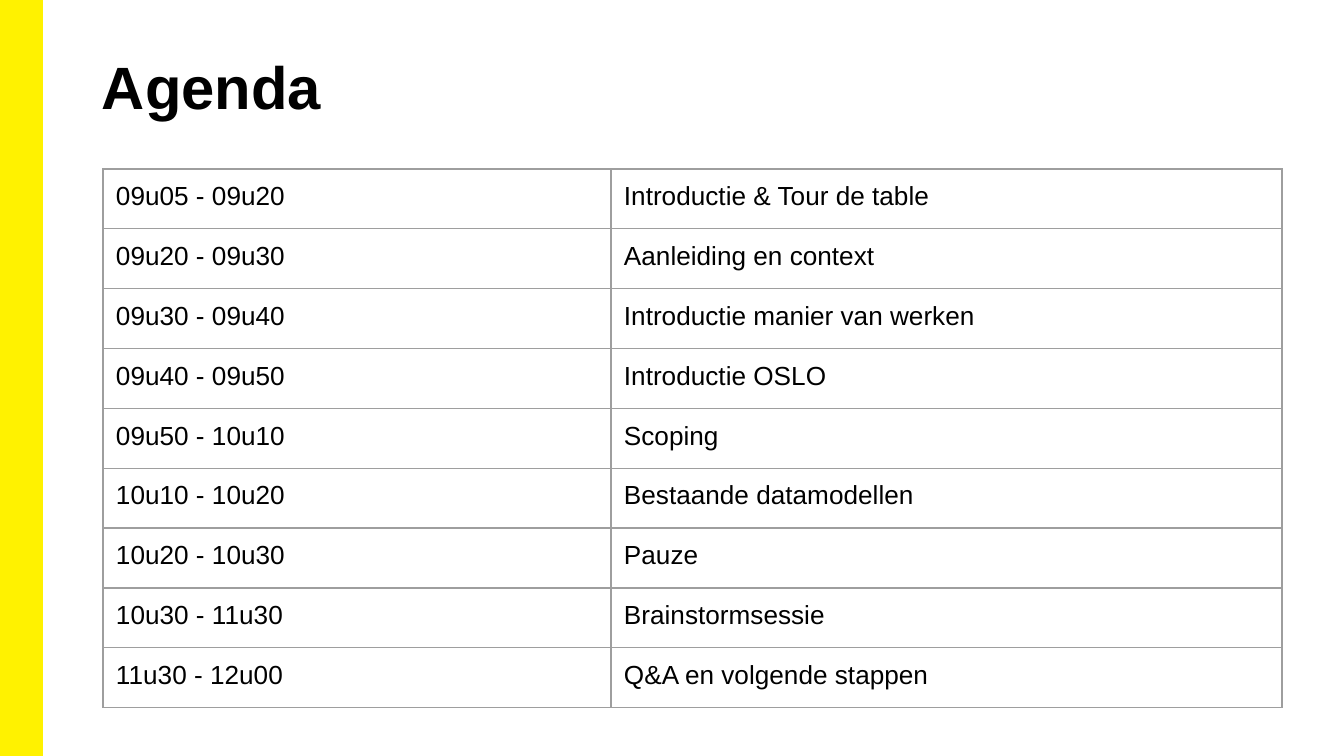
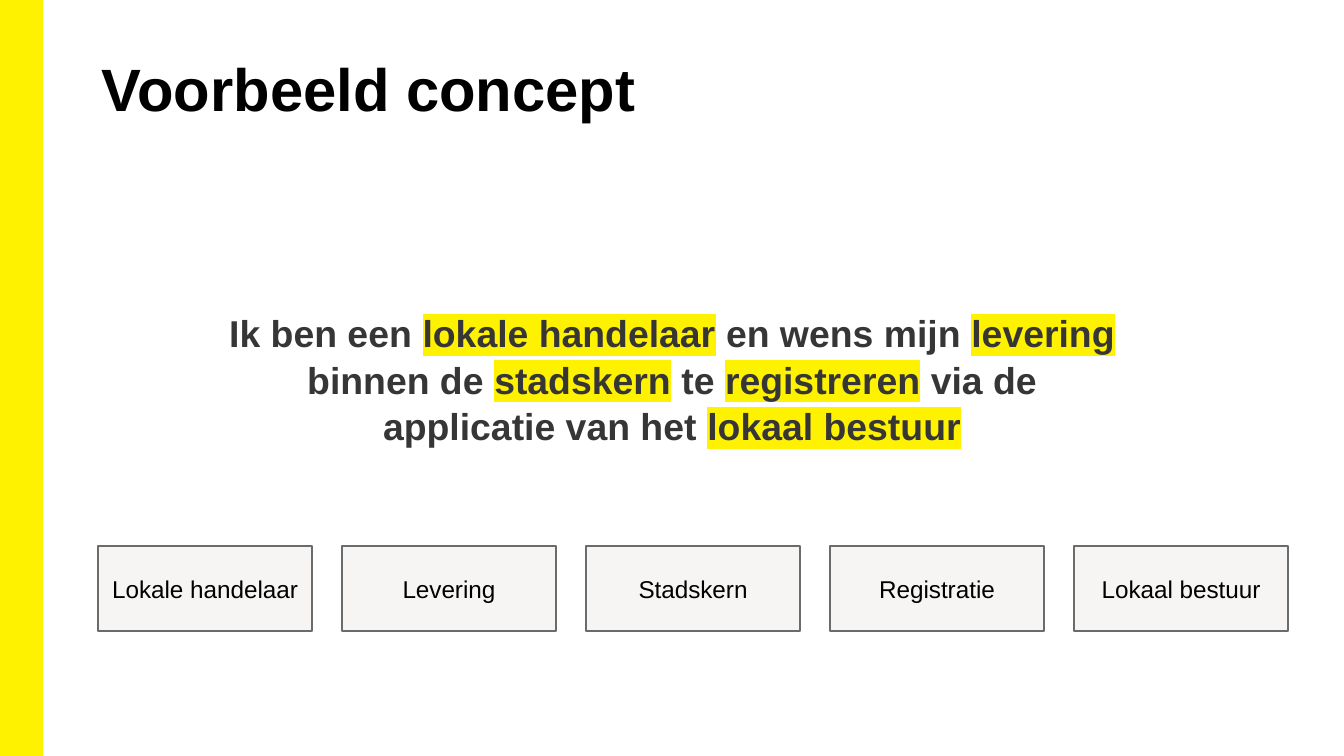
from lxml.etree import SubElement
from pptx import Presentation
from pptx.dml.color import RGBColor
from pptx.enum.shapes import MSO_SHAPE
from pptx.enum.text import MSO_ANCHOR, PP_ALIGN
from pptx.oxml import parse_xml
from pptx.oxml.ns import nsdecls, qn
from pptx.util import Pt

AGENDA_TITLE = "Agenda"
AGENDA = [
    ("09u05 - 09u20", "Introductie & Tour de table"),
    ("09u20 - 09u30", "Aanleiding en context"),
    ("09u30 - 09u40", "Introductie manier van werken"),
    ("09u40 - 09u50", "Introductie OSLO"),
    ("09u50 - 10u10", "Scoping"),
    ("10u10 - 10u20", "Bestaande datamodellen"),
    ("10u20 - 10u30", "Pauze"),
    ("10u30 - 11u30", "Brainstormsessie"),
    ("11u30 - 12u00", "Q&A en volgende stappen"),
]
CONCEPT_TITLE = "Voorbeeld concept"
# Every second part of the sentence is highlighted.
USER_STORY = [
    "Ik ben een ", "lokale handelaar", " en wens mijn ", "levering",
    " binnen de ", "stadskern", " te ", "registreren",
    " via de applicatie van het ", "lokaal bestuur",
]
CONCEPTS = ["Lokale handelaar", "Levering", "Stadskern", "Registratie", "Lokaal bestuur"]

COLORS = {
    "yellow": "FFF200", "white": "FFFFFF", "black": "000000", "story": "373636",
    "box": "F6F5F3", "box_line": "6B6B6B", "grid": "9E9E9E",
}
FONT = "Arial"
SLIDE_W, SLIDE_H = 1344, 756
BAND_W = 42
TABLE_LEFT, TABLE_TOP, TABLE_H = 103, 169, 539
COLUMN_WIDTHS = (508, 671)
BOX_LEFT, BOX_TOP, BOX_W, BOX_H, BOX_PITCH = 98, 546, 214, 85, 244


def px(length):
    return round(length * 914400 / 134.4)


def rgb(name):
    return RGBColor.from_string(COLORS[name])


def set_margins(target, left, top, right, bottom):
    margins = {"left": left, "top": top, "right": right, "bottom": bottom}
    for side, length in margins.items():
        setattr(target, f"margin_{side}", px(length))


def add_run(paragraph, text, size, color="black", bold=False):
    run = paragraph.add_run()
    run.text = text
    run.font.color.rgb = rgb(color)
    for name, value in {"name": FONT, "size": Pt(size), "bold": bold}.items():
        setattr(run.font, name, value)
    return run


def highlight(run):
    fill = run.font._element.find(qn("a:solidFill"))
    fill.addnext(parse_xml(
        f'<a:highlight {nsdecls("a")}><a:srgbClr val="{COLORS["yellow"]}"/></a:highlight>'))


def add_rectangle(slide, bounds, fill, line=None, line_width=0.75):
    rectangle = slide.shapes.add_shape(MSO_SHAPE.RECTANGLE, *map(px, bounds))
    rectangle.shadow.inherit = False
    rectangle.fill.solid()
    rectangle.fill.fore_color.rgb = rgb(fill)
    if line:
        rectangle.line.color.rgb = rgb(line)
        rectangle.line.width = Pt(line_width)
    else:
        rectangle.line.fill.background()
    return rectangle


def centre_text(rectangle, margins):
    """Prepare a rectangle for centred text and return its paragraph."""
    frame = rectangle.text_frame
    frame.word_wrap = True
    frame.vertical_anchor = MSO_ANCHOR.MIDDLE
    set_margins(frame, *margins)
    paragraph = frame.paragraphs[0]
    paragraph.alignment = PP_ALIGN.CENTER
    return paragraph


def add_slide(deck, title, bounds):
    """Add a slide with the yellow side band and its title."""
    slide = deck.slides.add_slide(deck.slide_layouts[6])
    add_rectangle(slide, (0, 0, BAND_W, SLIDE_H), "yellow", "yellow", 1)
    frame = slide.shapes.add_textbox(*map(px, bounds)).text_frame
    frame.word_wrap = True
    set_margins(frame, 9, 12, 9, 5)
    add_run(frame.paragraphs[0], title, 32, bold=True)
    return slide


def draw_borders(cell):
    properties = cell._tc.get_or_add_tcPr()
    for index, side in enumerate(("lnL", "lnR", "lnT", "lnB")):
        border = SubElement(properties, qn(f"a:{side}"), w=str(Pt(0.75)))
        fill = SubElement(border, qn("a:solidFill"))
        SubElement(fill, qn("a:srgbClr"), val=COLORS["grid"])
        properties.insert(index, border)


def build_agenda(deck):
    slide = add_slide(deck, AGENDA_TITLE, (93, 38, 1159, 109))
    table = slide.shapes.add_table(
        len(AGENDA), len(COLUMN_WIDTHS),
        *map(px, (TABLE_LEFT, TABLE_TOP, sum(COLUMN_WIDTHS), TABLE_H))).table
    table.first_row = table.horz_banding = False
    for column, width in zip(table.columns, COLUMN_WIDTHS):
        column.width = px(width)
    for row, entry in zip(table.rows, AGENDA):
        row.height = px(TABLE_H / len(AGENDA))
        for cell, text in zip(row.cells, entry):
            cell.fill.background()
            set_margins(cell, 13, 13, 13, 13)
            add_run(cell.text_frame.paragraphs[0], text, 14)
            draw_borders(cell)


def build_concept(deck):
    slide = add_slide(deck, CONCEPT_TITLE, (93, 40, 1206, 185))
    story = centre_text(add_rectangle(slide, (211, 265, 922, 227), "white"), (13, 7, 13, 7))
    story.line_spacing = 1.04
    for index, part in enumerate(USER_STORY):
        run = add_run(story, part, 20, "story", bold=True)
        if index % 2:
            highlight(run)
    for index, concept in enumerate(CONCEPTS):
        bounds = (BOX_LEFT + index * BOX_PITCH, BOX_TOP, BOX_W, BOX_H)
        box = add_rectangle(slide, bounds, "box", "box_line")
        add_run(centre_text(box, (13, 13, 13, 13)), concept, 13)


def main():
    deck = Presentation()
    deck.slide_width, deck.slide_height = px(SLIDE_W), px(SLIDE_H)
    build_agenda(deck)
    build_concept(deck)
    deck.save("out.pptx")


if __name__ == "__main__":
    main()
